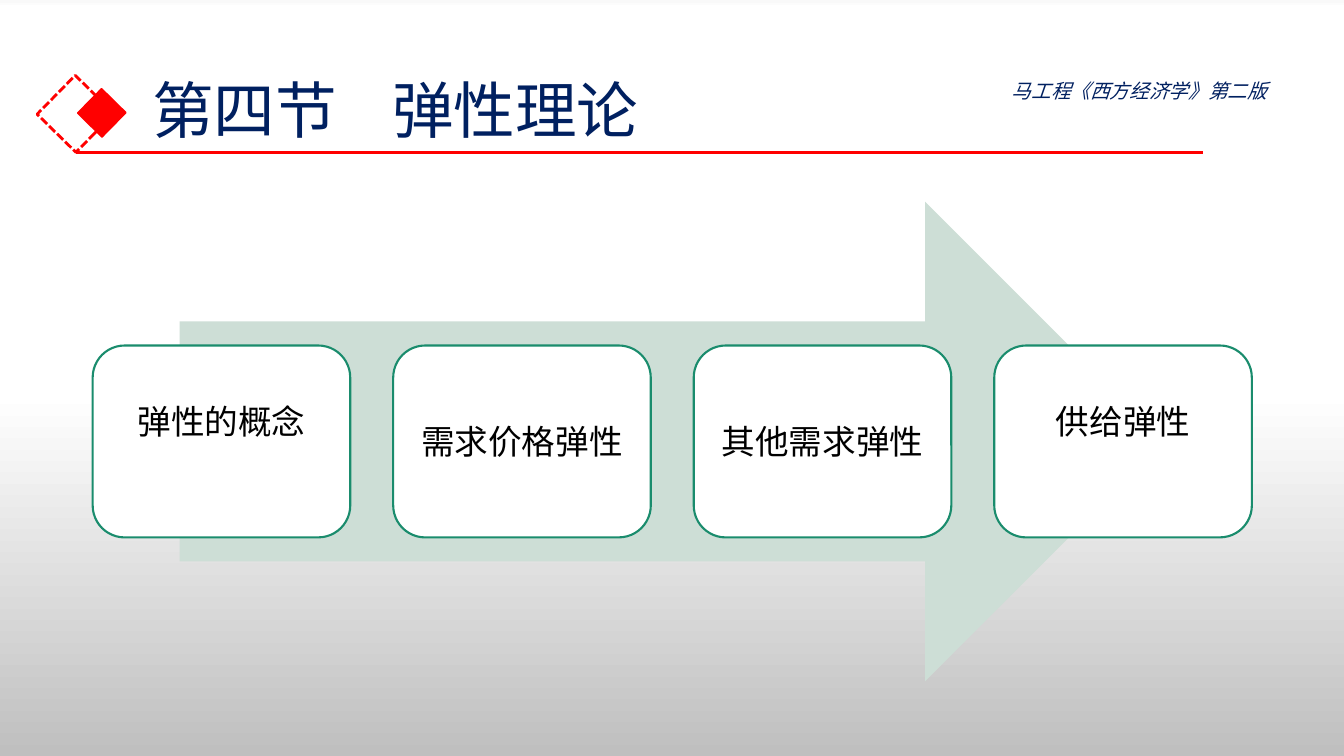
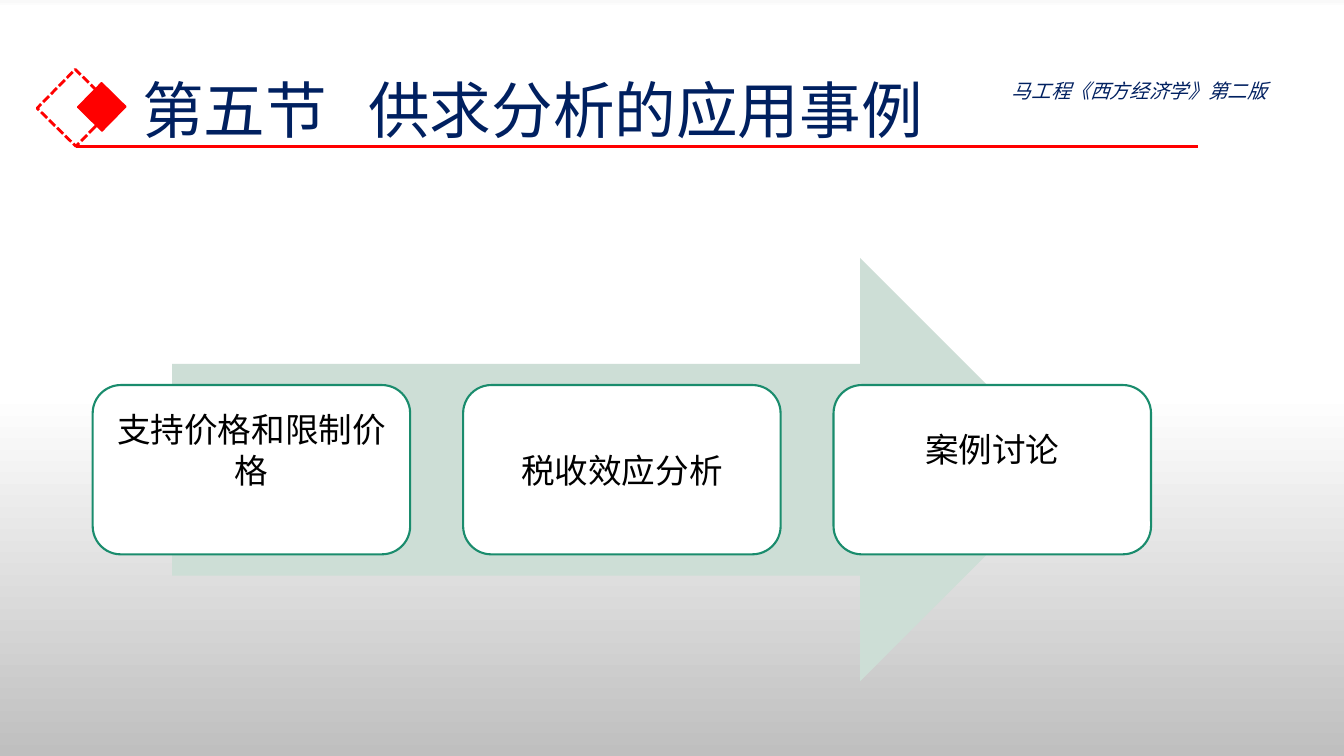
from dataclasses import dataclass

import pptx
import pptx.dml.color
import pptx.enum.dml
import pptx.enum.shapes
import pptx.enum.text
import pptx.oxml
import pptx.oxml.ns
import pptx.util
from lxml import etree

Pt = pptx.util.Pt
qn = pptx.oxml.ns.qn
SHAPES = pptx.enum.shapes.MSO_SHAPE
ALIGN = pptx.enum.text.PP_ALIGN
ANCHOR = pptx.enum.text.MSO_ANCHOR
DASH = pptx.enum.dml.MSO_LINE

FONT = "Noto Sans CJK SC"
COLOURS = {
    "navy": "002060",
    "red": "FF0000",
    "green": "1A8C6D",
    "pale": "CDDED6",
    "white": "FFFFFF",
    "black": "000000",
}
BACKGROUND = [(0, "F9F9F9"), (1, "FFFFFF"), (52, "FFFFFF"), (100, "BFBFBF")]
TITLE_TEXT = {"size": Pt(44), "name": FONT}
HEADER_TEXT = {"size": Pt(14), "name": FONT, "italic": True}
CARD_TEXT = {"size": Pt(24), "name": FONT}
HEADER = "马工程《西方经济学》第二版"
FLOW_LEFT = 66.2
FLOW_BOTTOM = 486.7
RAISE = 28.8


@dataclass(frozen=True)
class Card:
    label: str
    raised: bool = False


@dataclass(frozen=True)
class Section:
    title: str
    title_left: float
    title_tab: float
    rule_top: float
    rule_right: float
    flow_width: float
    flow_height: float
    cards: tuple[Card, ...]


SECTIONS = (
    Section("第四节\t弹性理论", 101.5, 171.4, 108.7, 859, 828, 342.7,
            (Card("弹性的概念", True), Card("需求价格弹性"),
             Card("其他需求弹性"), Card("供给弹性", True))),
    Section("第五节\t供求分析的应用事例", 94.3, 161.6, 104.4, 856, 756, 302.4,
            (Card("支持价格和限制价格", True), Card("税收效应分析"),
             Card("案例讨论", True))),
)


def rgb(name: str) -> pptx.dml.color.RGBColor:
    return pptx.dml.color.RGBColor.from_string(COLOURS[name])


def set_attributes(target, values: dict) -> None:
    for name, value in values.items():
        setattr(target, name, value)


def place(shape, left: float, top: float, width: float, height: float) -> None:
    set_attributes(shape, {"left": Pt(left), "top": Pt(top),
                           "width": Pt(width), "height": Pt(height)})


def write(para, text: str, style: dict, colour: str) -> None:
    span = para.add_run()
    span.text = text
    set_attributes(span.font, style)
    span.font.color.rgb = rgb(colour)
    east_asian = etree.SubElement(span._r.get_or_add_rPr(), qn("a:ea"))
    east_asian.set("typeface", FONT)


def add_box(page, kind, left: float, top: float, width: float, height: float,
            fill: str = "", line: str = "", weight: float = 1):
    box = page.shapes.add_shape(kind, Pt(left), Pt(top), Pt(width), Pt(height))
    box.shadow.inherit = False
    if fill:
        box.fill.solid()
        box.fill.fore_color.rgb = rgb(fill)
    else:
        box.fill.background()
    if line:
        box.line.color.rgb = rgb(line)
        box.line.width = Pt(weight)
    else:
        box.line.fill.background()
    return box


def set_background(master) -> None:
    fill = master.background.fill
    fill.gradient()
    fill.gradient_angle = 270
    stops = next(master.element.iter(qn("a:gsLst")))
    for stop in list(stops):
        stops.remove(stop)
    for position, colour in BACKGROUND:
        stop = etree.SubElement(stops, qn("a:gs"), pos=str(position * 1000))
        etree.SubElement(stop, qn("a:srgbClr"), val=colour)


def add_title(page, section: Section) -> None:
    title = page.shapes.title
    place(title, section.title_left, 28.8, 894.2 - section.title_left, 104.4)
    frame = title.text_frame
    set_attributes(frame, {"word_wrap": True, "vertical_anchor": ANCHOR.MIDDLE,
                           "auto_size": pptx.enum.text.MSO_AUTO_SIZE.NONE})
    para = frame.paragraphs[0]
    set_attributes(para, {"alignment": ALIGN.LEFT, "line_spacing": 0.9})
    tabs = etree.SubElement(para._p.get_or_add_pPr(), qn("a:tabLst"))
    etree.SubElement(tabs, qn("a:tab"), pos=str(Pt(section.title_tab)), algn="l")
    write(para, section.title, TITLE_TEXT, "navy")


def add_header(page) -> None:
    box = page.shapes.add_textbox(Pt(715.7), Pt(52.6), Pt(233.3), Pt(24.5))
    box.text_frame.word_wrap = True
    write(box.text_frame.paragraphs[0], HEADER, HEADER_TEXT, "navy")


def add_emblem(page, section: Section) -> None:
    top = section.rule_top
    outline = add_box(page, SHAPES.RECTANGLE, 34.6, top - 46.8, 38.9, 38.9,
                      line="red", weight=2)
    outline.line.dash_style = DASH.SQUARE_DOT
    core = add_box(page, SHAPES.RECTANGLE, 60.5, top - 40.3, 24.5, 24.5,
                   fill="red", line="red")
    for diamond in (outline, core):
        diamond.rotation = 314.5
    rule = page.shapes.add_connector(
        pptx.enum.shapes.MSO_CONNECTOR.STRAIGHT,
        Pt(54), Pt(top), Pt(section.rule_right), Pt(top))
    rule.line.color.rgb = rgb("red")
    rule.line.width = Pt(2.25)
    etree.SubElement(rule._element.spPr, qn("a:effectLst"))


def add_flow(page, section: Section) -> None:
    width, height = section.flow_width, section.flow_height
    top = FLOW_BOTTOM - height
    add_box(page, SHAPES.RIGHT_ARROW, FLOW_LEFT + width * 0.075, top,
            width * 0.85, height, fill="pale")
    count = len(section.cards)
    card_width = width / (count + (count - 1) / 6)
    for index, card in enumerate(section.cards):
        box = add_box(page, SHAPES.ROUNDED_RECTANGLE,
                      FLOW_LEFT + index * card_width * 7 / 6, top + height * 0.3,
                      card_width, height * 0.4, "white", "green", 1.5)
        frame = box.text_frame
        set_attributes(frame, {
            "word_wrap": True, "vertical_anchor": ANCHOR.MIDDLE,
            "margin_left": Pt(2), "margin_right": Pt(2), "margin_top": Pt(2),
            "margin_bottom": Pt(2 + RAISE * card.raised)})
        para = frame.paragraphs[0]
        para.alignment = ALIGN.CENTER
        write(para, card.label, CARD_TEXT, "black")


def main() -> None:
    deck = pptx.Presentation()
    set_attributes(deck, {"slide_width": Pt(960), "slide_height": Pt(540)})
    set_background(deck.slide_master)
    for section in SECTIONS:
        page = deck.slides.add_slide(deck.slide_layouts[5])
        add_header(page)
        add_title(page, section)
        add_flow(page, section)
        add_emblem(page, section)
    deck.save("out.pptx")


if __name__ == "__main__":
    main()
